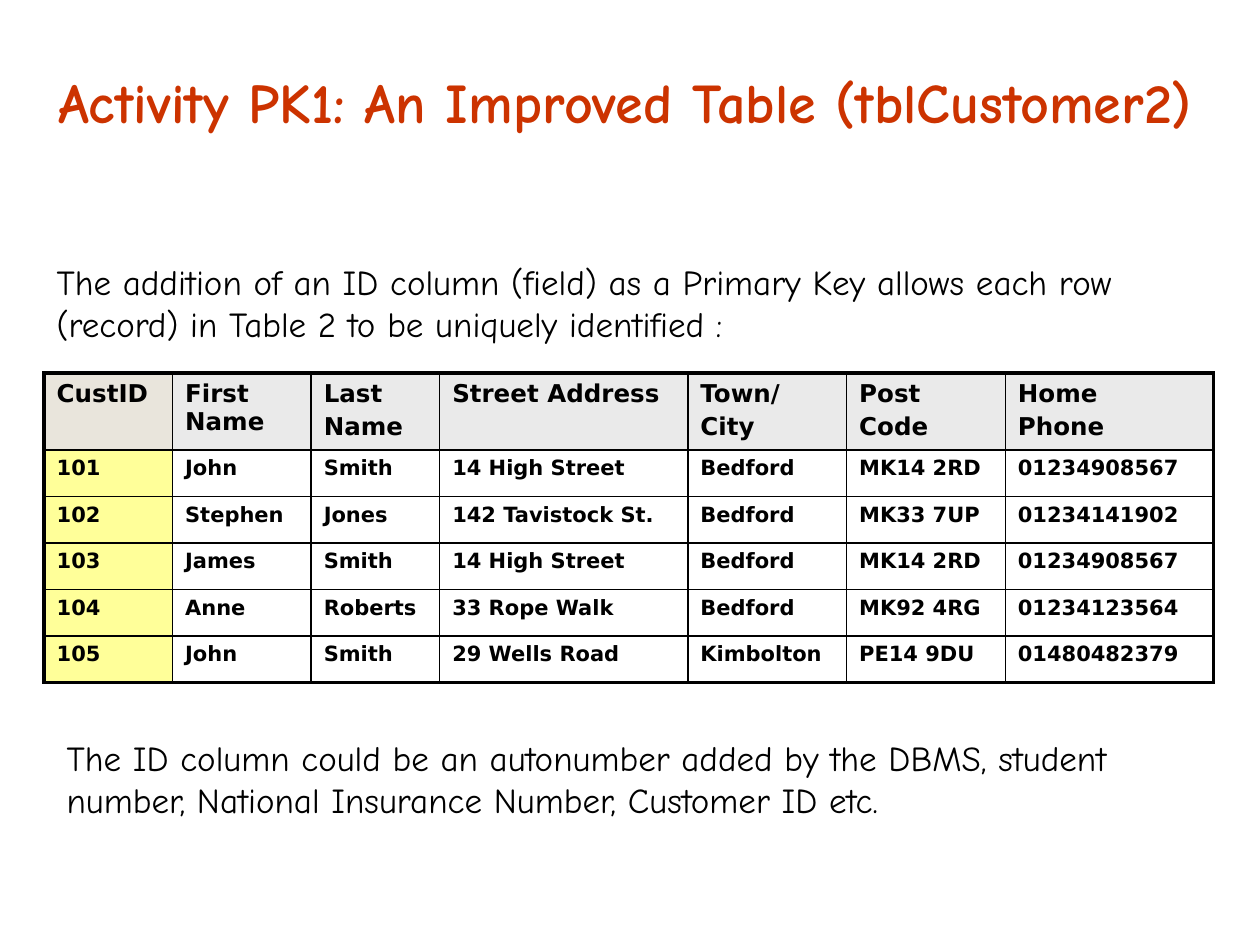
"""Build the slide on a customer table improved by a primary key."""
from dataclasses import dataclass

from lxml import etree
from pptx import Presentation
from pptx.dml.color import RGBColor
from pptx.enum.text import MSO_ANCHOR, MSO_AUTO_SIZE, PP_ALIGN
from pptx.oxml.ns import qn
from pptx.util import Inches, Pt

CENTER, LEFT = PP_ALIGN.CENTER, PP_ALIGN.LEFT
MIDDLE, TOP = MSO_ANCHOR.MIDDLE, MSO_ANCHOR.TOP
GROW, FIXED = MSO_AUTO_SIZE.SHAPE_TO_FIT_TEXT, MSO_AUTO_SIZE.NONE

COLORS = {
    "title": "CC3300",
    "ink": "000000",
    "key_header": "E9E5DC",
    "header": "EAEAEA",
    "key": "FFFF99",
    "cell": "FFFFFF",
}
BODY_FONT, TABLE_FONT = "Comic Neue", "DejaVu Sans"
OUTER_LINE, INNER_LINE = 2.25, 1

TABLE_BOX = (0.35, 2.96, 9.29, 2.48)
COLUMN_WIDTHS = (1.02, 1.1, 1.02, 1.97, 1.26, 1.26, 1.65)
HEADER_HEIGHT, RECORD_HEIGHT = 0.61, 0.37
HEADERS = ("CustID", "First Name", "Last\nName", "Street Address",
           "Town/\nCity", "Post\nCode", "Home\nPhone")
CUSTOMERS = (
    ("101", "John", "Smith", "14 High Street", "Bedford", "MK14 2RD", "01234908567"),
    ("102", "Stephen", "Jones", "142 Tavistock St.", "Bedford", "MK33 7UP", "01234141902"),
    ("103", "James", "Smith", "14 High Street", "Bedford", "MK14 2RD", "01234908567"),
    ("104", "Anne", "Roberts", "33 Rope Walk", "Bedford", "MK92 4RG", "01234123564"),
    ("105", "John", "Smith", "29 Wells Road", "Kimbolton", "PE14 9DU", "01480482379"),
)


@dataclass(frozen=True)
class TextBlock:
    """A text with its place and format."""
    text: str
    box: tuple[float, float, float, float]
    size: int = 20
    color: str = "ink"
    bold: bool = False
    align: PP_ALIGN = LEFT
    anchor: MSO_ANCHOR = TOP
    fit: MSO_AUTO_SIZE = GROW


TITLE = TextBlock("Activity PK1: An Improved Table (tblCustomer2)",
                  (0.2, 0.3, 9.53, 1.01), 32, "title", True, CENTER, MIDDLE, FIXED)
INTRODUCTION = TextBlock(
    "The addition of an ID column (field) as a Primary Key allows each row "
    "(record) in Table 2 to be uniquely identified :", (0.35, 2.02, 9.29, 0.77))
EXPLANATION = TextBlock(
    "The ID column could be an autonumber added by the DBMS, student number, "
    "National Insurance Number, Customer ID etc.", (0.43, 5.8, 9.14, 0.77))


def set_font(font, color: str, **values) -> None:
    """Apply a colour and other format values to a font."""
    for attribute, value in values.items():
        setattr(font, attribute, value)
    font.color.rgb = RGBColor.from_string(COLORS[color])


def add_text(slide, block: TextBlock) -> None:
    """Draw one text block."""
    frame = slide.shapes.add_textbox(*map(Inches, block.box)).text_frame
    frame_format = {"word_wrap": True, "auto_size": block.fit,
                    "vertical_anchor": block.anchor}
    for attribute, value in frame_format.items():
        setattr(frame, attribute, value)
    paragraph = frame.paragraphs[0]
    paragraph.text, paragraph.alignment = block.text, block.align
    set_font(paragraph.runs[0].font, block.color,
             name=BODY_FONT, size=Pt(block.size), bold=block.bold)


def set_borders(cell, widths: dict[str, float]) -> None:
    """Put border lines before the fill of a cell."""
    properties = cell._tc.get_or_add_tcPr()
    for position, (side, width) in enumerate(widths.items()):
        line = etree.Element(qn(f"a:ln{side}"), w=str(int(Pt(width))))
        fill = etree.SubElement(line, qn("a:solidFill"))
        etree.SubElement(fill, qn("a:srgbClr"), val=COLORS["ink"])
        properties.insert(position, line)


def fill_cell(cell, text: str, size: int, color: str) -> None:
    """Write and format one cell."""
    cell.fill.solid()
    cell.fill.fore_color.rgb = RGBColor.from_string(COLORS[color])
    cell.text_frame.text = text
    for index, paragraph in enumerate(cell.text_frame.paragraphs):
        if index:
            paragraph.space_before = Pt(0.2 * size)
        set_font(paragraph.runs[0].font, "ink",
                 name=TABLE_FONT, size=Pt(size), bold=True)


def add_customer_table(slide) -> None:
    """Draw the customer table with its key column."""
    rows = (HEADERS, *CUSTOMERS)
    last_row, last_column = len(rows) - 1, len(HEADERS) - 1
    table = slide.shapes.add_table(len(rows), len(HEADERS),
                                   *map(Inches, TABLE_BOX)).table
    table.first_row = table.horz_banding = False
    for column, width in zip(table.columns, COLUMN_WIDTHS):
        column.width = Inches(width)
    for row_index, row in enumerate(rows):
        is_header = row_index == 0
        table.rows[row_index].height = Inches(HEADER_HEIGHT if is_header else RECORD_HEIGHT)
        key_color, color = ("key_header", "header") if is_header else ("key", "cell")
        for column_index, text in enumerate(row):
            cell = table.cell(row_index, column_index)
            fill_cell(cell, text, 14 if is_header else 12,
                      color if column_index else key_color)
            at_edge = {"L": column_index == 0, "R": column_index == last_column,
                       "T": is_header, "B": row_index == last_row}
            set_borders(cell, {side: OUTER_LINE if outer else INNER_LINE
                               for side, outer in at_edge.items()})


def main() -> None:
    """Build and save the presentation."""
    presentation = Presentation()
    presentation.slide_width, presentation.slide_height = Inches(10), Inches(7.5)
    slide = presentation.slides.add_slide(presentation.slide_layouts[6])
    add_text(slide, TITLE)
    add_customer_table(slide)
    for block in (INTRODUCTION, EXPLANATION):
        add_text(slide, block)
    presentation.save("out.pptx")


if __name__ == "__main__":
    main()
